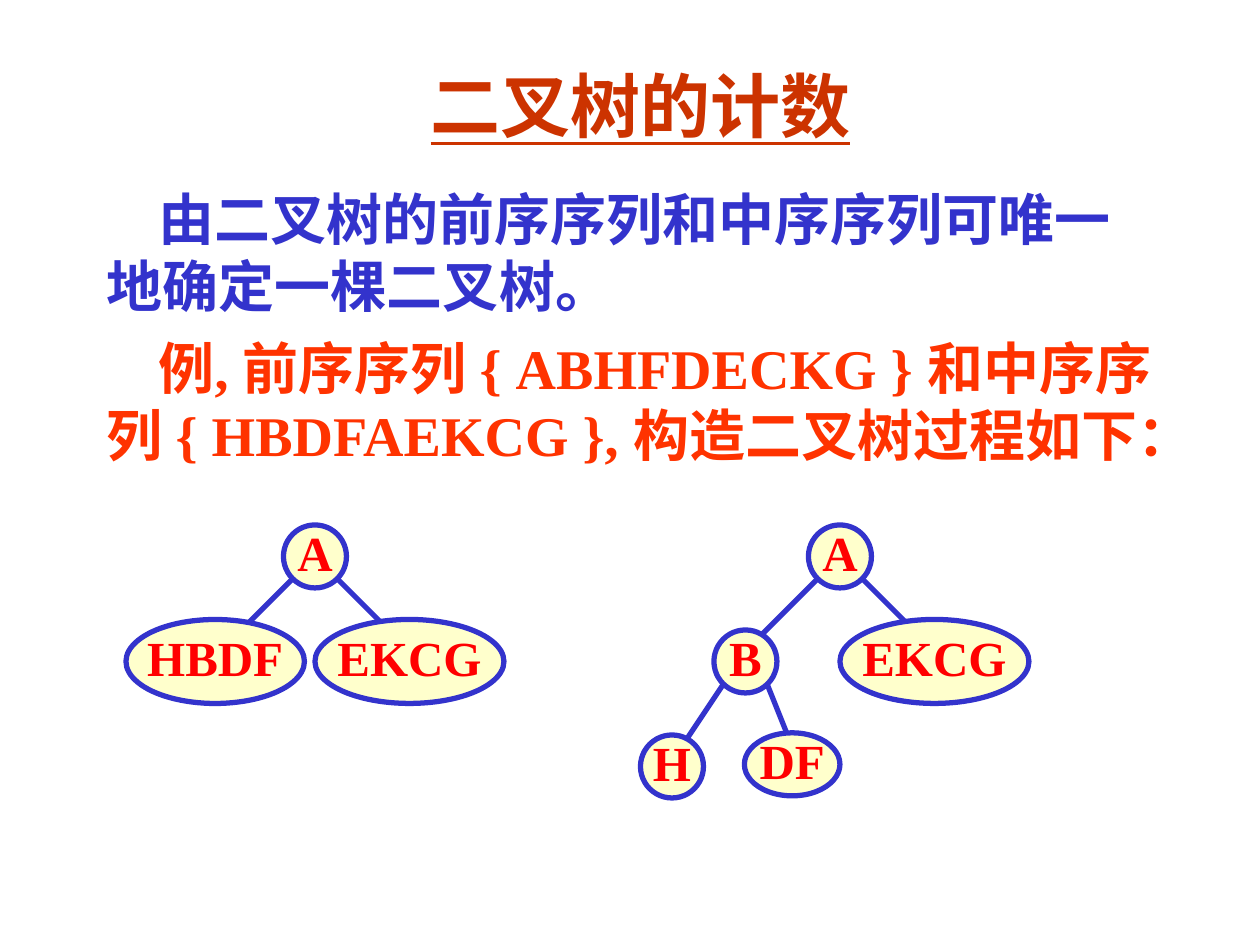
from dataclasses import dataclass

from lxml.etree import SubElement
from pptx import Presentation
from pptx.dml.color import RGBColor
from pptx.enum.shapes import MSO_CONNECTOR, MSO_SHAPE
from pptx.enum.text import MSO_ANCHOR, PP_ALIGN
from pptx.oxml.ns import qn
from pptx.util import Inches, Pt


@dataclass(frozen=True)
class Theme:
    font: str = "Times New Roman"
    title: str = "CC3300"
    statement: str = "3333CC"
    example: str = "FF3300"
    label: str = "FF0000"
    node: str = "FFFFCC"
    line: str = "3333CC"
    title_size: int = 40
    body_size: int = 32
    label_size: int = 28
    line_width: int = 3


THEME = Theme()
CELL = Inches(1) / 12
LABEL_HEIGHT = 6.84
LABEL_LIFT = 0.45

TITLE_BOX = (36, 6, 50, 8)
BODY_BOX = (9, 17, 103, 20)

FIRST_TREE = {
    "nodes": [
        ("A", 15, 0, 6, 6),
        ("HBDF", 0, 9, 17, 8),
        ("EKCG", 18, 9, 18, 8),
    ],
    "edges": [(20, 5, 26, 11), (16, 5, 10, 11)],
}
SECOND_TREE = {
    "nodes": [
        ("A", 16, 0, 6, 6),
        ("EKCG", 19, 9, 18, 8),
        ("B", 7, 10, 6, 6),
        ("H", 0, 20, 6, 6),
        ("DF", 9.9, 19.8, 9.1, 6),
    ],
    "edges": [(12, 15, 14, 20), (8, 15, 4, 21), (17, 5, 11, 11), (21, 5, 27, 11)],
}


def grid(*cells):
    return [round(cell * CELL) for cell in cells]


def color(value):
    return RGBColor.from_string(value)


def add_run(paragraph, text, size, text_color, underline=None):
    run = paragraph.add_run()
    run.text = text
    run.font.name = THEME.font
    run.font.size = Pt(size)
    run.font.bold = True
    run.font.underline = underline
    run.font.color.rgb = color(text_color)


def add_text_frame(slide, box, anchor):
    frame = slide.shapes.add_textbox(*grid(*box)).text_frame
    frame.word_wrap = True
    frame.vertical_anchor = anchor
    return frame


def add_title(slide, box):
    frame = add_text_frame(slide, box, MSO_ANCHOR.MIDDLE)
    paragraph = frame.paragraphs[0]
    paragraph.alignment = PP_ALIGN.CENTER
    add_run(paragraph, "二叉树的计数", THEME.title_size, THEME.title, True)


def add_body(slide, box):
    frame = add_text_frame(slide, box, MSO_ANCHOR.TOP)
    statements = [
        ("由二叉树的前序序列和中序序列可唯一地确定一棵二叉树。", THEME.statement),
        (
            "例, 前序序列 { ABHFDECKG } 和中序序列 { HBDFAEKCG }, "
            "构造二叉树过程如下：",
            THEME.example,
        ),
    ]
    for index, (text, text_color) in enumerate(statements):
        paragraph = frame.add_paragraph() if index else frame.paragraphs[0]
        paragraph.space_before = Pt(8)
        properties = paragraph._p.get_or_add_pPr()
        properties.set("marL", "0")
        properties.set("indent", str(Inches(0.41)))
        add_run(paragraph, text, THEME.body_size, text_color)


def add_edge(slide, start_column, start_row, end_column, end_row):
    edge = slide.shapes.add_connector(
        MSO_CONNECTOR.STRAIGHT, *grid(start_column, start_row, end_column, end_row)
    )
    edge.line.color.rgb = color(THEME.line)
    edge.line.width = Pt(THEME.line_width)
    SubElement(edge._element.spPr, qn("a:effectLst"))


def add_node(slide, text, column, row, width, height):
    node = slide.shapes.add_shape(MSO_SHAPE.OVAL, *grid(column, row, width, height))
    node.shadow.inherit = False
    node.fill.solid()
    node.fill.fore_color.rgb = color(THEME.node)
    node.line.color.rgb = color(THEME.line)
    node.line.width = Pt(THEME.line_width)

    label_row = row + (height - LABEL_HEIGHT) / 2 - LABEL_LIFT
    label_box = (column, label_row, width, LABEL_HEIGHT)
    frame = add_text_frame(slide, label_box, MSO_ANCHOR.MIDDLE)
    frame.margin_left = frame.margin_right = 0
    paragraph = frame.paragraphs[0]
    paragraph.alignment = PP_ALIGN.CENTER
    add_run(paragraph, text, THEME.label_size, THEME.label)


def add_tree(slide, tree, left, top):
    for start_column, start_row, end_column, end_row in tree["edges"]:
        add_edge(
            slide, left + start_column, top + start_row, left + end_column, top + end_row
        )
    for text, column, row, width, height in tree["nodes"]:
        add_node(slide, text, left + column, top + row, width, height)


presentation = Presentation()
presentation.slide_width = Inches(10)
presentation.slide_height = Inches(7.5)
slide = presentation.slides.add_slide(presentation.slide_layouts[6])
add_title(slide, TITLE_BOX)
add_body(slide, BODY_BOX)
add_tree(slide, FIRST_TREE, 12, 50)
add_tree(slide, SECOND_TREE, 61, 50)
presentation.save("out.pptx")
